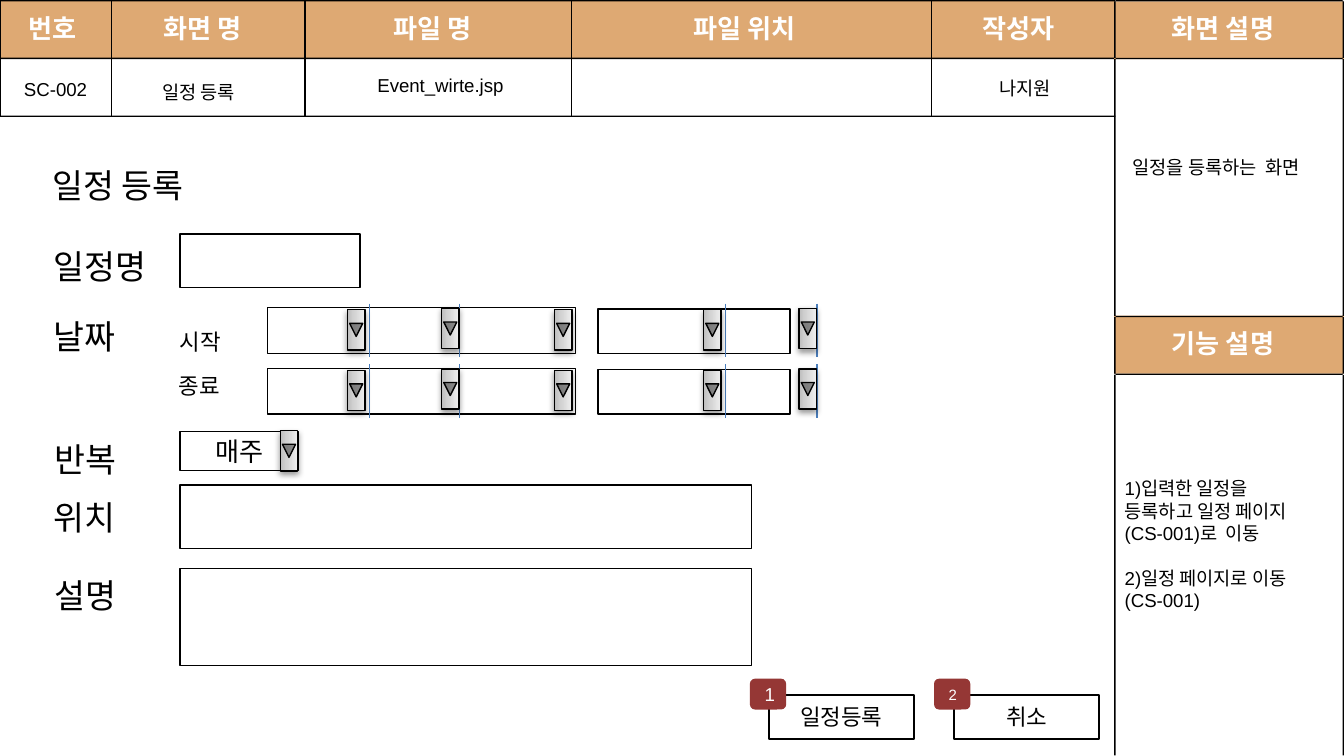
import pptx
import pptx.util
import pptx.oxml
import pptx.oxml.ns
import pptx.dml.color
import pptx.enum.shapes
import pptx.enum.text
from pptx.util import Inches

COLORS = {"band": "DEA973", "ink": "000000", "paper": "FFFFFF",
          "divider": "4B7EBC", "badge": "953735"}
RGB = {name: pptx.dml.color.RGBColor.from_string(c) for name, c in COLORS.items()}
KIND = pptx.enum.shapes.MSO_SHAPE
ALIGN = pptx.enum.text.PP_ALIGN
ANCHOR = pptx.enum.text.MSO_ANCHOR
A = pptx.oxml.ns.nsdecls("a")
BUTTON_FILL = (f'<a:gradFill {A} rotWithShape="1"><a:gsLst>'
               '<a:gs pos="0"><a:srgbClr val="BDBDBD"/></a:gs>'
               '<a:gs pos="35000"><a:srgbClr val="D1D1D1"/></a:gs>'
               '<a:gs pos="100000"><a:srgbClr val="EEEEEE"/></a:gs>'
               '</a:gsLst><a:lin ang="16200000" scaled="0"/></a:gradFill>')
BUTTON_SHADOW = (f'<a:effectLst {A}><a:outerShdw blurRad="39370" dist="20000" '
                 'dir="5400000" rotWithShape="0"><a:srgbClr val="000000">'
                 '<a:alpha val="38000"/></a:srgbClr></a:outerShdw></a:effectLst>')


def write(tf, text, size=10, font="Arial", color="ink", bold=False, align=ALIGN.LEFT,
          anchor=ANCHOR.TOP, margins=(0.1, 0.05, 0.1, 0.05), before=0, gap=0, east=None):
    """Fill a text frame; gap is the space above each paragraph after the first."""
    tf.word_wrap = True
    tf.vertical_anchor = anchor
    tf.margin_left, tf.margin_top, tf.margin_right, tf.margin_bottom = map(Inches, margins)
    for i, line in enumerate(text.split("\n")):
        p = tf.add_paragraph() if i else tf.paragraphs[0]
        p.alignment = align
        p.space_before = pptx.util.Pt(gap if i else before)
        r = p.add_run()
        r.text = line
        r.font.size = pptx.util.Pt(size)
        r.font.name = font
        r.font.bold = bold
        r.font.color.rgb = RGB[color]
        if east:
            ea = pptx.oxml.parse_xml(f'<a:ea {A} typeface="{east}"/>')
            r.font._element.find(pptx.oxml.ns.qn("a:latin")).addnext(ea)


def paint(sp, fill="paper", line=0.75):
    """Give a shape a flat fill and a black line; None leaves either out."""
    sp.shadow.inherit = False
    if fill:
        sp.fill.solid()
        sp.fill.fore_color.rgb = RGB[fill]
    else:
        sp.fill.background()
    if line:
        sp.line.color.rgb = RGB["ink"]
        sp.line.width = pptx.util.Pt(line)
    else:
        sp.line.fill.background()


prs = pptx.Presentation()
prs.slide_width = Inches(10)
prs.slide_height = prs.slide_width * 9 // 16
s = prs.slides.add_slide(prs.slide_layouts[5])

# Header bands and rules: boxes as left, top, right, bottom in hundredths of an inch
column_rules = [(x, 0, x, 87) for x in (0, 83, 227, 425, 693, 829)]
row_rules = [(0, y, 830, y + 1) for y in (0, 43, 86)]
side_rules = [(829, y, 1000, y + 1) for y in (0, 43, 235, 278)]
side_rules += [(x, 0, x + 1, 562) for x in (829, 999)]
for boxes, fill, line in [([(0, 1, 829, 44)], "band", None),
                          (column_rules, None, 0.75),
                          (row_rules, "ink", None),
                          ([(829, 235, 1000, 278), (829, 1, 1000, 44)], "band", None),
                          (side_rules, "ink", None)]:
    builder = s.shapes.build_freeform(*boxes[0][:2], scale=Inches(0.01))
    for i, (x1, y1, x2, y2) in enumerate(boxes):
        if i:
            builder.move_to(x1, y1)
        if fill:
            builder.add_line_segments([(x2, y1), (x2, y2), (x1, y2)], close=True)
        else:
            builder.add_line_segments([(x2, y2)], close=False)
    paint(builder.convert_to_shape(), fill, line)

# Header captions, with the slide title among them
HEAD = dict(size=14, font="Noto Sans CJK KR", east="Noto Sans CJK KR",
            color="paper", bold=True, before=1)
for text, x, y, w in [("번호", 0.2, 0.08, 0.42), ("화면 명", 1.21, 0.08, 0.67),
                      ("파일 명", 2.92, 0.08, 0.67), ("작성자", 7.3, 0.08, 0.61),
                      ("화면 설명", 8.71, 0.08, 0.87), ("기능 설명", 8.71, 2.43, 0.87)]:
    tb = s.shapes.add_textbox(Inches(x), Inches(y), Inches(w), Inches(0.23))
    write(tb.text_frame, text, margins=(0.01, 0.01, 0, 0), **HEAD)
title = s.shapes.title
title.left, title.top, title.width, title.height = map(Inches, (3.98, 0.08, 2.51, 0.23))
write(title.text_frame, "파일 위치", margins=(1.18, 0.01, 0, 0), **HEAD)
s.shapes.element.append(title.element)

# Values, notes and field labels
small, medium, large = dict(size=10), dict(size=12, font="Calibri"), dict(size=18, font="Calibri")
for text, x, y, w, h, style in [
    ("SC-002", 0.08, 0.53, 0.75, 0.27, small),
    ("일정 등록", 1.11, 0.55, 1.42, 0.27, small),
    ("Event_wirte.jsp", 2.71, 0.5, 1.67, 0.27, small),
    ("나지원", 7.34, 0.52, 1, 0.27, small),
    ("일정을 등록하는  화면", 8.33, 1.11, 1.67, 0.27, small),
    ("1)입력한 일정을 등록하고 일정 페이지(CS-001)로  이동\n2)일정 페이지로 이동(CS-001)",
     8.27, 3.5, 1.64, 1.28, dict(size=10, gap=12)),
    ("일정 등록", 0.29, 1.18, 2.34, 0.4, large),
    ("일정명", 0.3, 1.78, 0.97, 0.4, large),
    ("날짜", 0.3, 2.3, 1.01, 0.4, large),
    ("반복", 0.31, 3.22, 0.93, 0.4, large),
    ("위치", 0.3, 3.65, 0.93, 0.4, large),
    ("설명", 0.31, 4.23, 0.93, 0.4, large),
    ("시작", 1.24, 2.39, 1.01, 0.3, medium),
    ("종료", 1.23, 2.72, 1.01, 0.3, medium),
]:
    tb = s.shapes.add_textbox(*map(Inches, (x, y, w, h)))
    write(tb.text_frame, text, **style)

# Input fields
for field in [(1.34, 1.74, 1.34, 0.4), (1.34, 3.61, 4.25, 0.47), (1.34, 4.23, 4.25, 0.72)]:
    paint(s.shapes.add_shape(KIND.RECTANGLE, *map(Inches, field)))

# Drop-downs: field, text, divider positions, button positions
MIDDLE = dict(align=ALIGN.CENTER, anchor=ANCHOR.MIDDLE)
pickers = [((1.34, 3.21, 0.88, 0.29), "매주", [], [(2, 3.29)])]
for dy in (0, 0.45):
    pickers += [
        ((1.99, 2.29 + dy, 2.29, 0.34), "", [2.75, 3.42],
         [(2.5, 2.39 + dy), (3.2, 2.38 + dy), (4.04, 2.39 + dy)]),
        ((4.45, 2.3 + dy, 1.43, 0.33), "", [5.4, 6.08],
         [(5.15, 2.39 + dy), (5.86, 2.38 + dy)]),
    ]
for field, text, dividers, buttons in pickers:
    group = s.shapes.add_group_shape().shapes
    sp = group.add_shape(KIND.RECTANGLE, *map(Inches, field))
    paint(sp)
    if text:
        write(sp.text_frame, text, size=14, font="Calibri", **MIDDLE)
    top = buttons[0][1] - 0.13
    for x in dividers:
        c = group.add_connector(pptx.enum.shapes.MSO_CONNECTOR.STRAIGHT,
                                *map(Inches, (x, top, x, top + 0.4)))
        c.line.color.rgb = RGB["divider"]
        c.line.width = pptx.util.Pt(0.75)
        c.element.spPr.append(pptx.oxml.parse_xml(f"<a:effectLst {A}/>"))
    for x, y in buttons:
        sp = group.add_shape(KIND.ACTION_BUTTON_FORWARD_OR_NEXT,
                             *map(Inches, (x, y, 0.3, 0.13)))
        paint(sp)
        sp.rotation = 90
        spPr = sp.element.spPr
        for tag, xml in (("a:solidFill", BUTTON_FILL), ("a:effectLst", BUTTON_SHADOW)):
            spPr.replace(spPr.find(pptx.oxml.ns.qn(tag)), pptx.oxml.parse_xml(xml))

# Command buttons with numbered badges
for text, x, number, badge_x, size in [("일정등록", 5.72, "1", 5.58, 10),
                                       ("취소", 7.1, "2", 6.95, 8)]:
    sp = s.shapes.add_shape(KIND.RECTANGLE, *map(Inches, (x, 5.17, 1.08, 0.33)))
    paint(sp, line=1)
    write(sp.text_frame, text, **medium, **MIDDLE)
    sp = s.shapes.add_shape(KIND.ROUNDED_RECTANGLE,
                            *map(Inches, (badge_x, 5.05, 0.27, 0.23)))
    paint(sp, fill="badge", line=None)
    write(sp.text_frame, number, size=size, color="paper", **MIDDLE)

prs.save("out.pptx")
